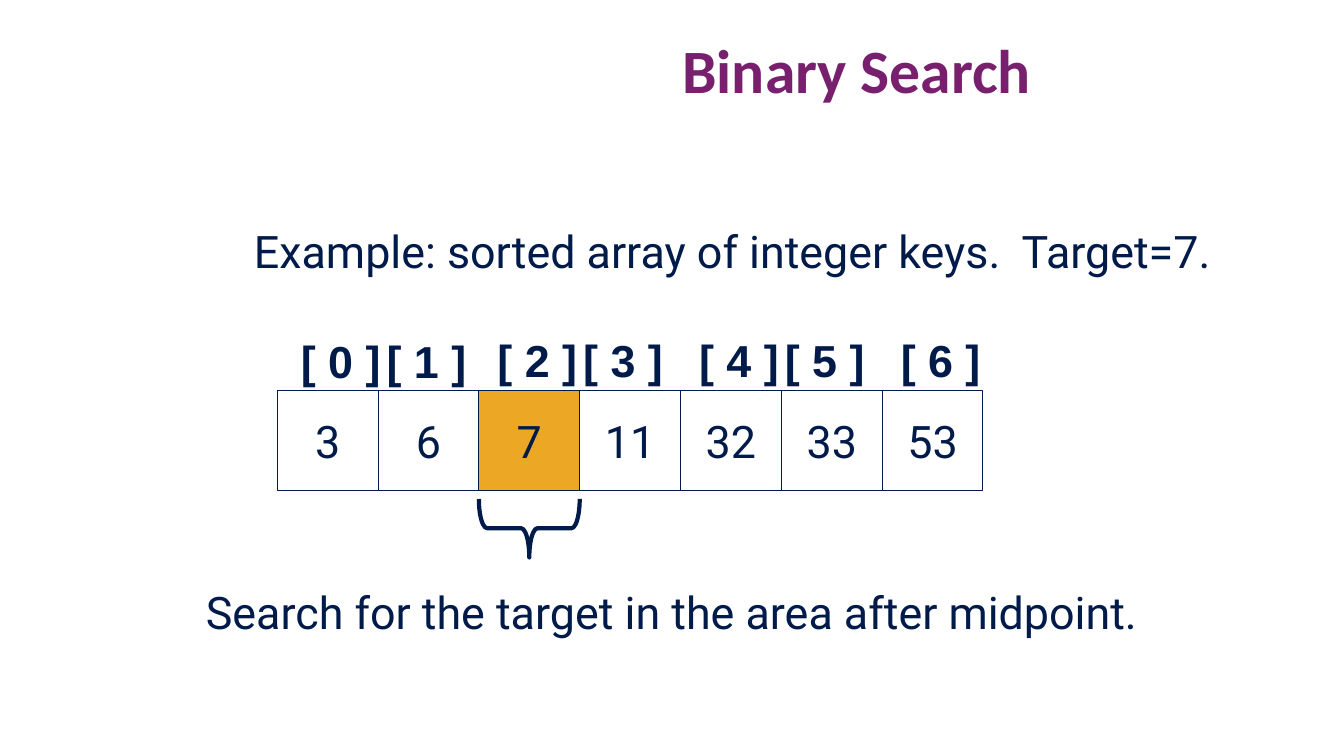
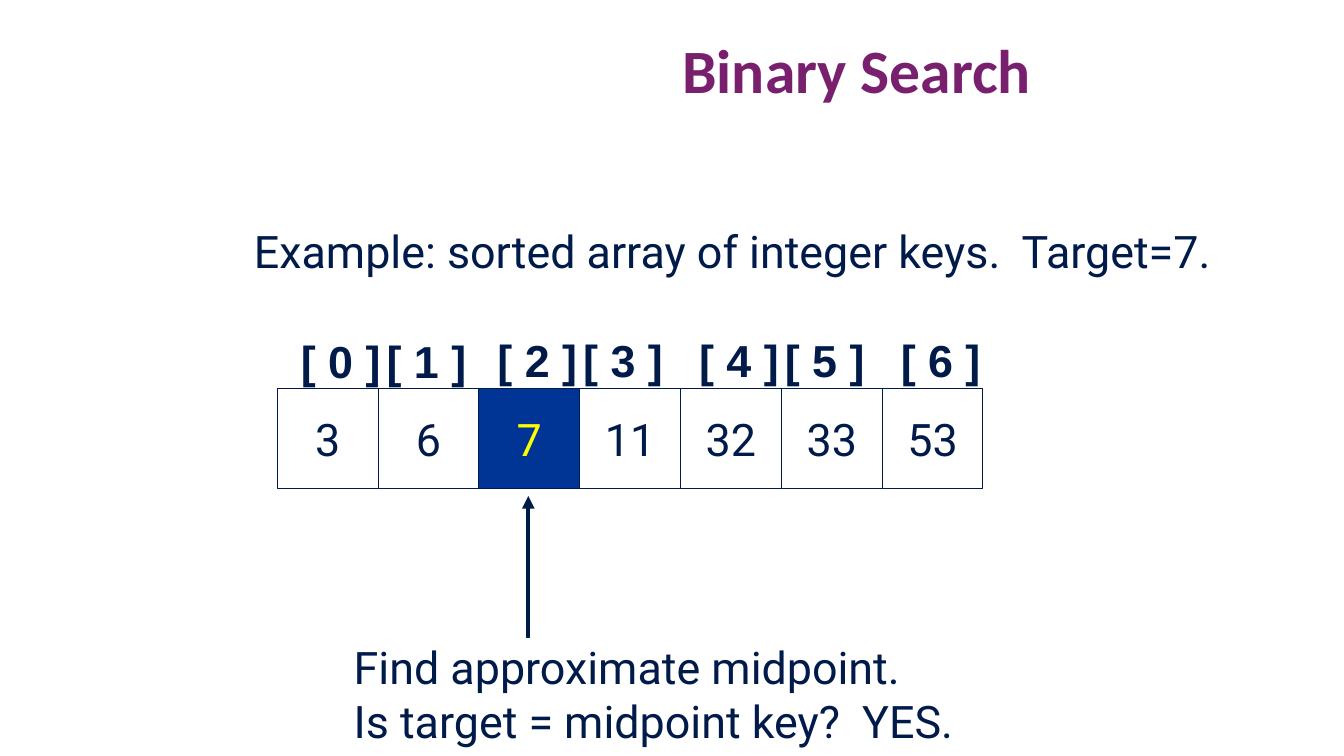
from lxml import etree
from pptx import Presentation
from pptx import util as u
from pptx.dml.color import RGBColor
from pptx.enum import shapes, text
from pptx.oxml.ns import qn

PX = 9144  # 100 px to the inch
THEME = {
    "navy": "001A4A", "plum": "78206E", "white": "FFFFFF",
    "gold": "ECA825", "blue": "003595", "yellow": "FFFF00",
    "thin": 0.75, "thick": 3,
}
LEFT, MID = text.PP_ALIGN.LEFT, text.PP_ALIGN.CENTER
TOP, CENTER, BASE = (text.MSO_ANCHOR.TOP, text.MSO_ANCHOR.MIDDLE,
                     text.MSO_ANCHOR.BOTTOM)
BODY = {"name": "Roboto", "size": u.Pt(32), "bold": False}
INDEX = {"name": "Arial", "size": u.Pt(32), "bold": True}
HEAD = {"name": "Calibri", "size": u.Pt(44), "bold": True}

TITLE = "Binary Search"
INTRO = "Example: sorted array of integer keys.  Target=7."
KEYS = [3, 6, 7, 11, 32, 33, 53]
TAGS = [(288, 326), (373, 326), (483, 325), (568, 325),
        (683, 325), (768, 325), (883, 325)]
ROW, CELL, HIT = 275, 100, 2
SLIDES = [
    {"top": 387, "fill": "gold", "ink": "navy", "mark": "brace",
     "note": ["Search for the target in the area after midpoint."],
     "box": (189, 575, 955, 118), "align": MID},
    {"top": 385, "fill": "blue", "ink": "yellow", "mark": "arrow",
     "note": ["Find approximate midpoint.",
              "Is target = midpoint key?  YES."],
     "box": (341, 630, 623, 118), "align": LEFT},
]


def color(name):
    return RGBColor.from_string(THEME[name])


def emu(box):
    return [n * PX for n in box]


def stroke(line, width):
    line.color.rgb = color("navy")
    line.width = u.Pt(THEME[width])


def write(shape, lines, font, ink="navy", align=LEFT, anchor=TOP,
          wrap=True, space=1.0):
    frame = shape.text_frame
    frame.word_wrap = wrap
    frame.vertical_anchor = anchor
    frame.text = "\n".join(lines)
    for para in frame.paragraphs:
        para.alignment = align
        para.line_spacing = space
        for key, value in font.items():
            setattr(para.font, key, value)
        para.font.color.rgb = color(ink)


def label(slide, box, lines, font, **style):
    write(slide.shapes.add_textbox(*emu(box)), lines, font, **style)


def cell(slide, box, key, fill, ink):
    shape = slide.shapes.add_shape(shapes.MSO_SHAPE.RECTANGLE, *emu(box))
    shape.shadow.inherit = False
    shape.fill.solid()
    shape.fill.fore_color.rgb = color(fill)
    stroke(shape.line, "thin")
    write(shape, [str(key)], BODY, ink=ink, align=MID, anchor=CENTER,
          wrap=False)


def brace(slide):
    shape = slide.shapes.add_shape(shapes.MSO_SHAPE.LEFT_BRACE,
                                   *emu((496, 474, 58, CELL)))
    shape.rotation = 270
    shape.adjustments[0] = 0.14
    shape.shadow.inherit = False
    shape.fill.background()
    stroke(shape.line, "thick")


def arrow(slide):
    link = slide.shapes.add_connector(shapes.MSO_CONNECTOR.STRAIGHT,
                                      *emu((524, 492, 524, 633)))
    stroke(link.line, "thick")
    etree.SubElement(link.line._get_or_add_ln(), qn("a:headEnd"),
                     type="triangle")
    etree.SubElement(link._element.spPr, qn("a:effectLst"))


MARKS = {"brace": brace, "arrow": arrow}


def build(slide, page):
    label(slide, (242, 217, 984, 387), [INTRO], BODY)
    for i, (key, (x, y)) in enumerate(zip(KEYS, TAGS)):
        fill, ink = ((page["fill"], page["ink"]) if i == HIT
                     else ("white", "navy"))
        cell(slide, (ROW + i * CELL, page["top"], CELL, CELL), key, fill, ink)
        label(slide, (x, y, 100, 64), [f"[ {i} ]"], INDEX, align=MID,
              wrap=False)
    MARKS[page["mark"]](slide)
    label(slide, page["box"], page["note"], BODY, align=page["align"])
    label(slide, (667, 32, 666, 79), [TITLE], HEAD, ink="plum",
          anchor=BASE, space=0.9)


def main():
    deck = Presentation()
    deck.slide_width, deck.slide_height = emu((1333, 750))
    for page in SLIDES:
        build(deck.slides.add_slide(deck.slide_layouts[6]), page)
    deck.save("out.pptx")


if __name__ == "__main__":
    main()
